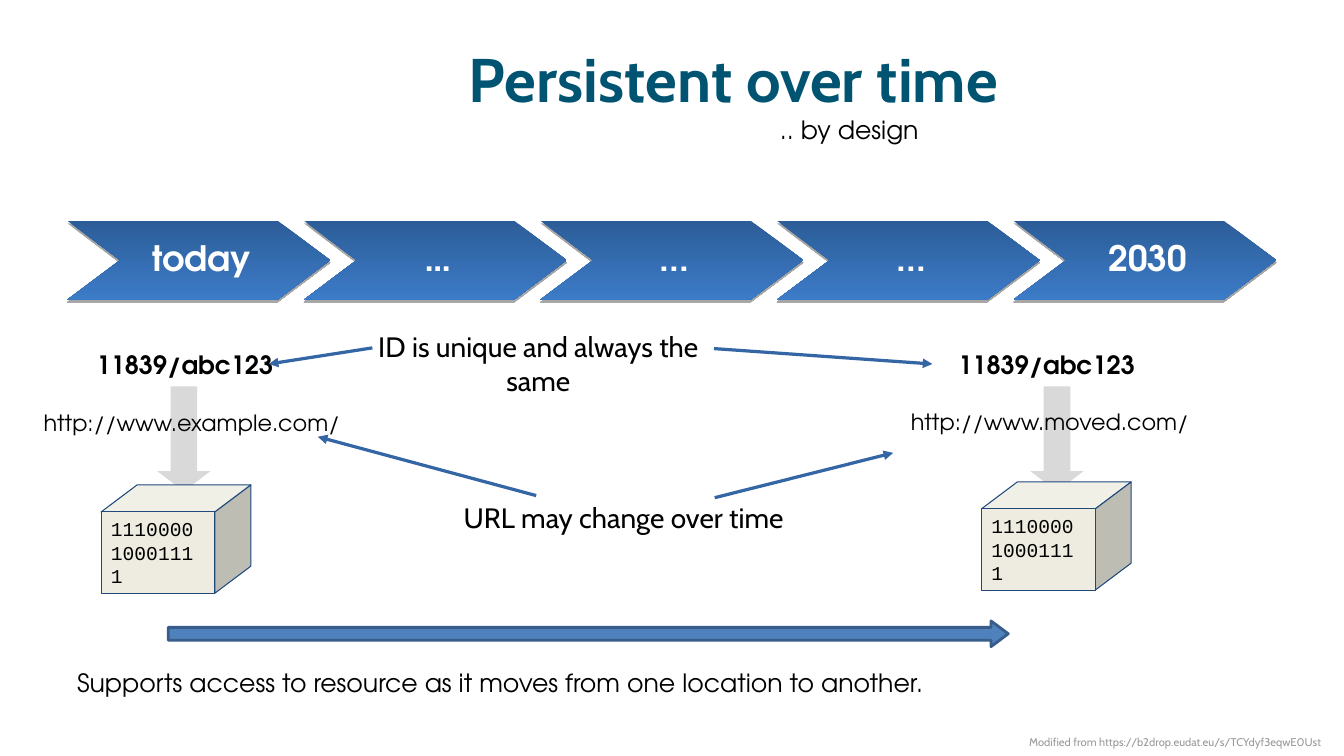
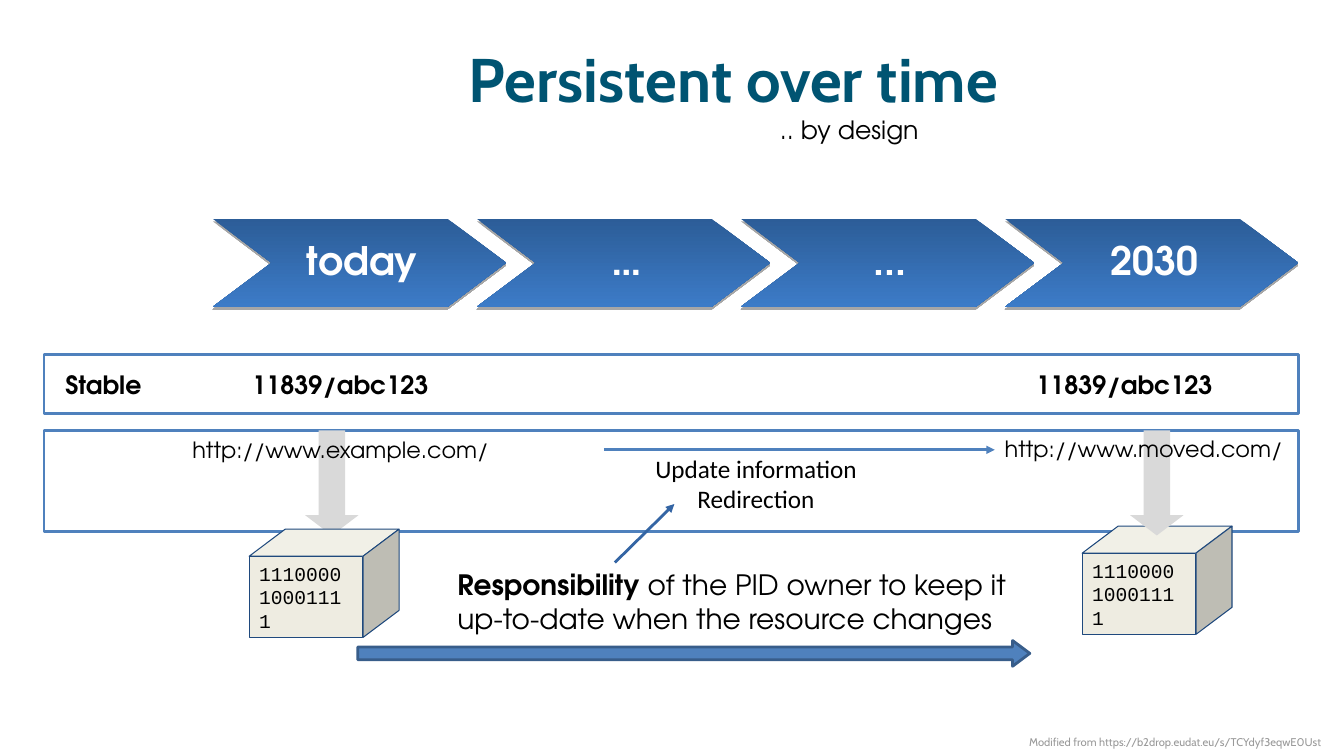
"""Build two slides on identifiers that stay persistent over time."""
from lxml import etree
from pptx import Presentation
from pptx import util as u
from pptx.dml.color import RGBColor
from pptx.enum import shapes, text
from pptx.oxml.ns import qn

Pt = u.Pt
SHAPE = shapes.MSO_SHAPE
CENTER = text.PP_ALIGN.CENTER
COLORS = {
    "title": "005472", "text": "000000", "white": "FFFFFF", "footer": "999999",
    "deep": "2C5D98", "bright": "3C7BC7", "blue": "4F81BD", "edge": "385D8A",
    "link": "3465A4", "grey": "D9D9D9", "cube": "EEECE1", "cube_top": "F1F0E7",
    "cube_side": "BEBDB4", "cube_edge": "1F497D",
}
SANS, HEAD, MONO, PLAIN = "TeX Gyre Adventor", "Cabin", "Courier New", "Calibri"


def rgb(name):
    return RGBColor.from_string(COLORS[name])


class Deck:
    def __init__(self):
        self.prs = Presentation()
        self.prs.slide_width, self.prs.slide_height = Pt(960), Pt(540)
        self.s = None

    def slide(self):
        self.s = self.prs.slides.add_slide(self.prs.slide_layouts[5])
        sp = self.s.shapes.title
        sp.left, sp.top, sp.width, sp.height = Pt(136), Pt(21.6), Pt(776), Pt(68.4)
        self.set_text(sp, "Persistent over time", 44, HEAD, "title", True, CENTER, (0, 0, 0, 0), True)
        self.label(".. by design", 550, 78, 153, 29)
        self.label("Modified from https://b2drop.eudat.eu/s/TCYdyf3eqwE0Ust",
                   728, 522, 230, 16, size=8, font=HEAD, color="footer")

    def set_text(self, sp, content, size=18, font=SANS, color="text", bold=False,
                 align=text.PP_ALIGN.LEFT, insets=(7.2, 3.6, 7.2, 3.6), middle=False):
        tf = sp.text_frame
        tf.word_wrap = True
        tf.auto_size = text.MSO_AUTO_SIZE.NONE
        tf.vertical_anchor = text.MSO_ANCHOR.MIDDLE if middle else text.MSO_ANCHOR.TOP
        tf.margin_left, tf.margin_top, tf.margin_right, tf.margin_bottom = map(Pt, insets)
        lines = [[(content, bold)]] if isinstance(content, str) else content
        for i, runs in enumerate(lines):
            p = tf.add_paragraph() if i else tf.paragraphs[0]
            p.alignment = align
            for words, strong in runs:
                r = p.add_run()
                r.text = words
                r.font.size, r.font.name, r.font.bold = Pt(size), font, strong
                r.font.color.rgb = rgb(color)
        return tf

    def label(self, content, x, y, w, h, **style):
        sp = self.s.shapes.add_textbox(Pt(x), Pt(y), Pt(w), Pt(h))
        self.set_text(sp, content, **style)

    def paint(self, sp, fill, line=None, width=2):
        sp.shadow.inherit = False
        sp.fill.solid()
        sp.fill.fore_color.rgb = rgb(fill)
        if line:
            sp.line.color.rgb, sp.line.width = rgb(line), Pt(width)
        else:
            sp.line.fill.background()

    def shape(self, kind, x, y, w, h, fill, line=None, adjust=()):
        sp = self.s.shapes.add_shape(kind, Pt(x), Pt(y), Pt(w), Pt(h))
        self.paint(sp, fill, line)
        for i, value in enumerate(adjust):
            sp.adjustments[i] = value
        return sp

    def timeline(self, steps, x, y, total, size):
        w = total / (0.9 * len(steps) + 0.1)
        for i, step in enumerate(steps):
            sp = self.shape(SHAPE.CHEVRON, x + 0.9 * w * i, y, w, 0.3 * w, "deep", adjust=(2 / 3,))
            sp.fill.gradient()
            sp.fill.gradient_angle = 270
            for stop, name in zip(sp.fill.gradient_stops, ("deep", "bright")):
                stop.color.rgb = rgb(name)
            effects = sp.element.spPr.find(qn("a:effectLst"))
            shadow = etree.SubElement(effects, qn("a:outerShdw"), dist=str(Pt(1.8)),
                                      dir="5400000", rotWithShape="0")
            black = etree.SubElement(shadow, qn("a:srgbClr"), val=COLORS["text"])
            etree.SubElement(black, qn("a:alpha"), val="35000")
            tf = self.set_text(sp, step, size, color="white", bold=True, align=CENTER,
                               insets=(4, 3, 0, 3), middle=True)
            p = tf.paragraphs[0]
            p.line_spacing, p.space_after = 0.9, Pt(0.44 * size)

    def down_arrow(self, x, y):
        self.shape(SHAPE.DOWN_ARROW, x, y, 38, 75, "grey", adjust=(0.5, 0.38))

    def time_arrow(self, x, y, w):
        self.shape(SHAPE.RIGHT_ARROW, x, y, w, 18.4, "blue", "edge", (0.5, 0.67))

    def band(self, y, h):
        self.shape(SHAPE.RECTANGLE, 31.5, y, 896, h, "white", "blue")

    def face(self, points, fill):
        first, *rest = [(Pt(x), Pt(y)) for x, y in points]
        builder = self.s.shapes.build_freeform(*first)
        builder.add_line_segments(rest, close=True)
        sp = builder.convert_to_shape()
        self.paint(sp, fill, "cube_edge", 0.75)
        return sp

    def cube(self, x, y):
        w, h, dx, dy = 81.3, 58, 25.7, 19.3
        top, right, bottom = y + dy, x + w, y + dy + h
        self.face([(x, top), (x + dx, y), (right + dx, y), (right, top)], "cube_top")
        self.face([(right, top), (right + dx, y), (right + dx, y + h), (right, bottom)], "cube_side")
        sp = self.face([(x, top), (right, top), (right, bottom), (x, bottom)], "cube")
        self.set_text(sp, "111000010001111", 14, MONO, insets=(7.2, 0, 7.2, 0), middle=True)

    def pid(self, x, y):
        self.label("11839/abc123", x, y, 186, 29, bold=True)

    def url(self, address, x, y):
        self.label(address, x, y, 240, 27, size=16)

    def pointer(self, x1, y1, x2, y2, color="link", width=2.3):
        c = self.s.shapes.add_connector(shapes.MSO_CONNECTOR.STRAIGHT,
                                        Pt(x1), Pt(y1), Pt(x2), Pt(y2))
        c.line.color.rgb, c.line.width = rgb(color), Pt(width)
        spPr = c.element.spPr
        etree.SubElement(spPr.find(qn("a:ln")), qn("a:tailEnd"), type="triangle")
        etree.SubElement(spPr, qn("a:effectLst"))


def unchanged_id(d):
    d.slide()
    d.timeline(["today", "…", "...", "...", "2030"], 48.2, 157.7, 863.5, 25)
    for x, y, arrow_x in ((72.2, 346.4, 112.3), (701, 344.2, 736)):
        d.down_arrow(arrow_x, 276)
        d.cube(x, y)
    for x in (62, 677.5):
        d.pid(x, 246)
    d.url("http://www.example.com/", 24, 288.7)
    d.url("http://www.moved.com/", 643.5, 288)
    d.label("ID is unique and always the same", 251, 232, 267, 52, size=20, font=HEAD, align=CENTER)
    d.label("URL may change over time", 312, 354, 267, 52, size=20, font=HEAD, align=CENTER)
    for ends in ((266, 248.5, 192, 260), (510, 249, 666, 260),
                 (383, 354, 227, 312), (510.5, 355.5, 638, 323.5)):
        d.pointer(*ends)
    d.time_arrow(120.2, 443.5, 600)
    d.label("Supports access to resource as it moves from one location to another.", 48, 473, 859, 51)


def updated_url(d):
    d.slide()
    d.band(307.5, 72)
    d.band(253.5, 42)
    d.timeline(["today", "…", "...", "2030"], 152, 156.3, 775.4, 28)
    d.down_arrow(218, 307.5)
    d.cube(773, 375.8)
    d.cube(178, 378)
    d.down_arrow(807.3, 307.5)
    d.label("Stable", 39.6, 260, 93, 29, bold=True)
    for x in (173, 733):
        d.pid(x, 260)
    d.url("http://www.example.com/", 130.3, 308)
    d.url("http://www.moved.com/", 710.6, 307.5)
    d.time_arrow(255.6, 457.5, 480)
    d.pointer(431.3, 321.3, 710.6, 321.3, "blue", 2)
    d.label([[("Update information", False)], [("Redirection", False)]],
            432.7, 320.4, 214.6, 51, font=PLAIN, align=CENTER)
    d.label([[("Responsibility", True),
              (" of the PID owner to keep it up-to-date when the resource changes", False)]],
            319.7, 401.8, 427, 52, size=20)
    d.pointer(439.2, 401.8, 481.7, 360, width=0)


def main():
    d = Deck()
    unchanged_id(d)
    updated_url(d)
    d.prs.save("out.pptx")


if __name__ == "__main__":
    main()
